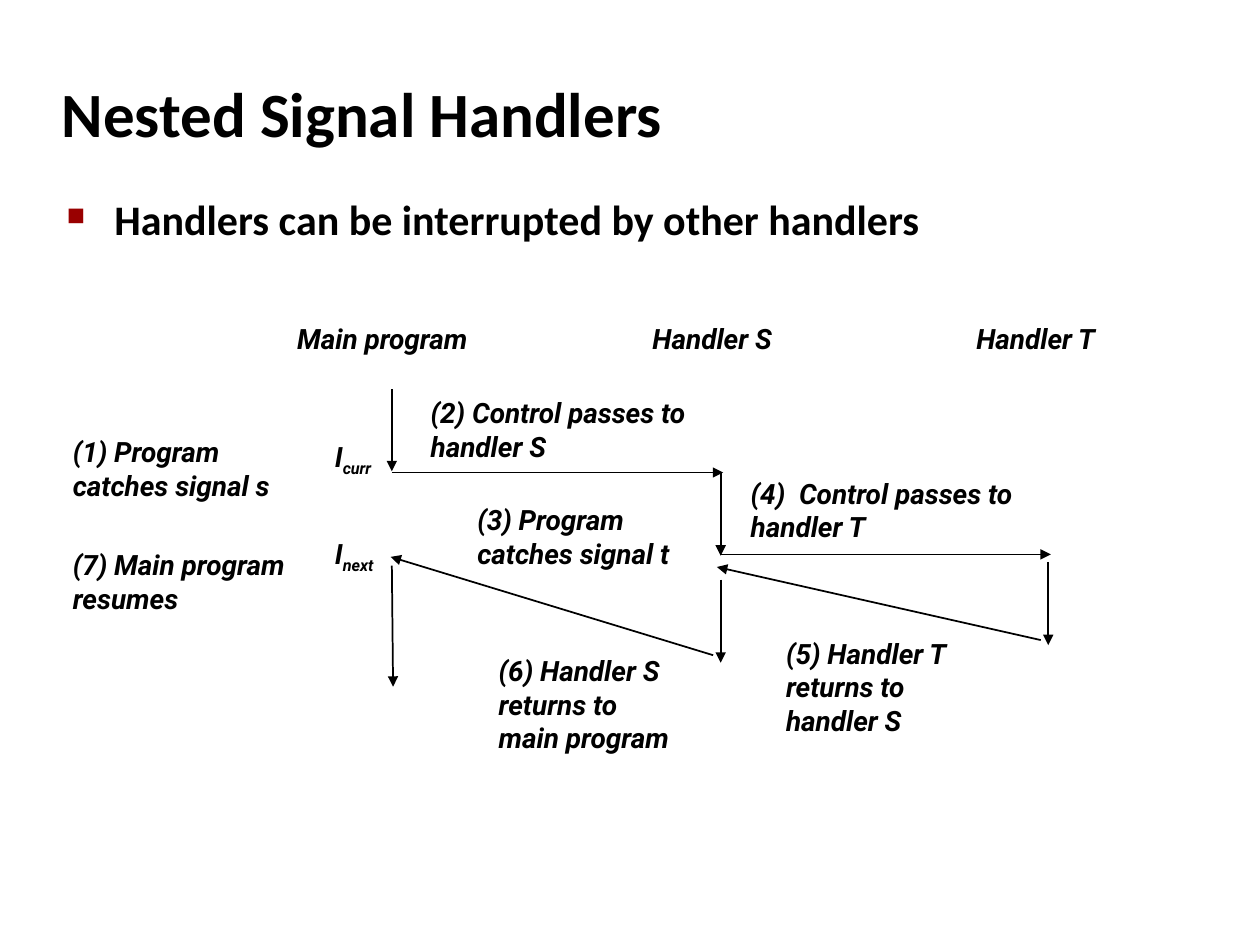
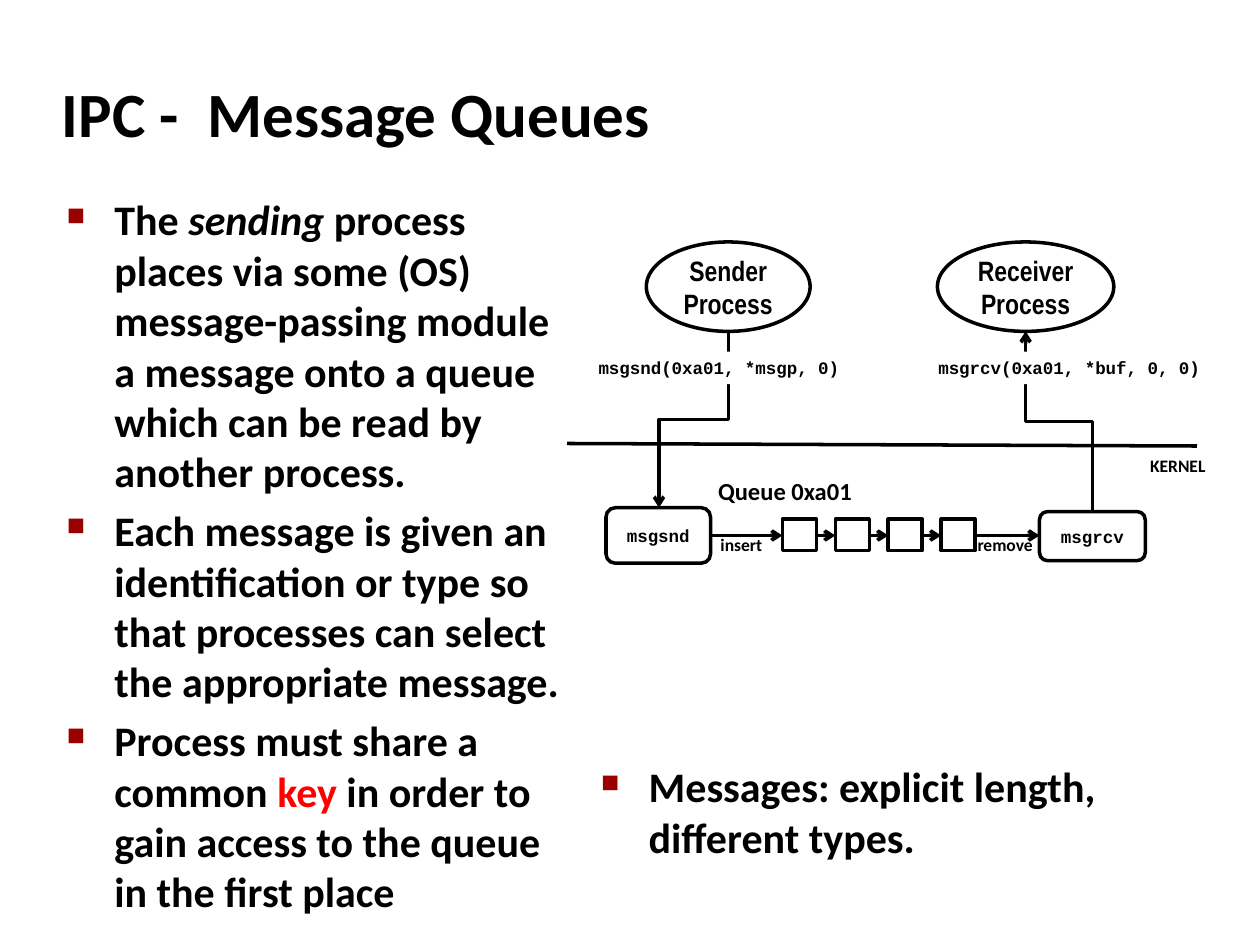
from dataclasses import dataclass

from lxml.etree import SubElement
from pptx import Presentation
from pptx.dml.color import RGBColor
from pptx.enum.shapes import MSO_CONNECTOR as Link, MSO_SHAPE as Shape
from pptx.enum.text import MSO_ANCHOR as Anchor, PP_ALIGN as Align
from pptx.oxml.ns import qn
from pptx.util import Inches, Pt


@dataclass(frozen=True)
class Style:
    """Font, size and slant of a kind of text."""
    font: str
    size: int
    italic: bool = False


@dataclass(frozen=True)
class Theme:
    """Colours and type of the deck."""
    ink: str = "000000"
    paper: str = "FFFFFF"
    bullet: str = "990000"
    key: str = "FF0000"
    title: Style = Style("Calibri", 36)
    body: Style = Style("Calibri", 24)
    step: Style = Style("Roboto", 16, True)
    process: Style = Style("Arial Narrow", 16)
    code: Style = Style("Courier New", 10)
    queue: Style = Style("Calibri", 14)
    note: Style = Style("Calibri", 10)


@dataclass(frozen=True)
class Box:
    """Region of a page in inches."""
    left: float
    top: float
    width: float
    height: float

    def inside(self, left, top, width, height):
        """Return a box placed relative to this one."""
        return Box(self.left + left, self.top + top, width, height)

    def point(self, x, y):
        """Return a point placed relative to this box."""
        return self.left + x, self.top + y

    def lengths(self):
        """Return the four sides as lengths."""
        return [Inches(v) for v in (self.left, self.top, self.width, self.height)]


THEME = Theme()


def format_runs(frame, style, color=THEME.ink):
    """Give every run of a frame one style."""
    for para in frame.paragraphs:
        for span in para.runs:
            font = span.font
            font.name, font.size = style.font, Pt(style.size)
            font.bold, font.italic = True, style.italic
            font.color.rgb = RGBColor.from_string(color)


def add_label(page, box, text, style, wrap=True):
    """Add a text box in one style."""
    frame = page.shapes.add_textbox(*box.lengths()).text_frame
    frame.word_wrap = wrap
    frame.text = text
    format_runs(frame, style)
    return frame


def set_bullet(para):
    """Give a paragraph the square bullet and hanging indent."""
    props = para._p.get_or_add_pPr()
    props.set("marL", str(Inches(0.38)))
    props.set("indent", str(Inches(-0.38)))
    color = SubElement(props, qn("a:buClr"))
    SubElement(color, qn("a:srgbClr"), val=THEME.bullet)
    SubElement(props, qn("a:buSzPct"), val="60000")
    SubElement(props, qn("a:buChar"), char="■")


def add_bullets(page, box, items):
    """Add a bulleted list, each item being a list of text pieces."""
    frame = page.shapes.add_textbox(*box.lengths()).text_frame
    frame.word_wrap = True
    for index, pieces in enumerate(items):
        para = frame.add_paragraph() if index else frame.paragraphs[0]
        if index:
            para.space_before = Pt(4.8)
        set_bullet(para)
        for piece in pieces:
            para.add_run().text = piece
    format_runs(frame, THEME.body)
    return frame


def add_line(page, start, end, width=1, head="triangle", kind=Link.STRAIGHT):
    """Add a line, with an arrowhead at its end unless head is None."""
    line = page.shapes.add_connector(kind, *[Inches(v) for v in (*start, *end)])
    line.line.color.rgb = RGBColor.from_string(THEME.ink)
    line.line.width = Pt(width)
    if head:
        SubElement(line.line._get_or_add_ln(), qn("a:tailEnd"), type=head)
    SubElement(line._element.spPr, qn("a:effectLst"))
    return line


def add_upright_elbow(page, start, end):
    """Add an elbow arrow that leaves and arrives vertically, going left."""
    (x1, y1), (x2, y2) = start, end
    middle_x, middle_y = (x1 + x2) / 2, (y1 + y2) / 2
    down = y2 > y1
    reach = abs(y2 - y1) / 2
    drop = (x1 - x2) / 2 if down else (x2 - x1) / 2
    line = add_line(page, (middle_x - reach, middle_y - drop),
                    (middle_x + reach, middle_y + drop), 2, "arrow", Link.ELBOW)
    turn = 90 if down else 270
    line._element.spPr.find(qn("a:xfrm")).set("rot", str(turn * 60000))


def add_node(page, kind, box, text="", style=THEME.code, masked=False):
    """Add an outlined shape, or a borderless white one that masks lines."""
    node = page.shapes.add_shape(kind, *box.lengths())
    node.shadow.inherit = False
    if masked:
        node.fill.solid()
        node.fill.fore_color.rgb = RGBColor.from_string(THEME.paper)
        node.line.fill.background()
    else:
        node.fill.background()
        node.line.color.rgb = RGBColor.from_string(THEME.ink)
        node.line.width = Pt(2)
    if text:
        frame = node.text_frame
        frame.margin_left = frame.margin_right = 0
        frame.margin_top = frame.margin_bottom = 0
        frame.vertical_anchor = Anchor.MIDDLE
        frame.text = text
        for para in frame.paragraphs:
            para.alignment = Align.CENTER
        format_runs(frame, style)


def add_page(deck, title):
    """Add a titled page."""
    page = deck.slides.add_slide(deck.slide_layouts[5])
    holder = page.shapes.title
    holder.left, holder.top, holder.width, holder.height = Box(0.39, 0.48, 8.3, 0.83).lengths()
    frame = holder.text_frame
    frame.vertical_anchor = Anchor.MIDDLE
    frame.text = title
    frame.paragraphs[0].alignment = Align.LEFT
    format_runs(frame, THEME.title)
    return page


def draw_control_flow(page, box):
    """Draw the main program and two handlers with their transfers."""
    main, handler_s, handler_t = 2.63, 5.24, 7.84
    for left, width, name in ((1.78, 1.75, "Main program"),
                              (4.6, 1.35, "Handler S"), (7.17, 1.35, "Handler T")):
        add_label(page, box.inside(left, 0, width, 0.37), name, THEME.step)

    steps = (
        (0, 0.9, 2.1, "(1) Program catches signal s"),
        (2.84, 0.59, 2.24, "(2) Control passes to handler S"),
        (3.21, 1.44, 2.03, "(3) Program catches signal t"),
        (5.38, 1.23, 2.31, "(4)  Control passes to handler T"),
        (5.66, 2.5, 1.62, "(5) Handler T\nreturns to handler S"),
        (3.38, 2.64, 1.62, "(6) Handler S\nreturns to main program"),
        (0, 1.8, 2.1, "(7) Main program resumes"),
    )
    for left, top, width, text in steps:
        add_label(page, box.inside(left, top, width, 0.64), text, THEME.step)

    for top, subscript in ((0.94, "curr"), (1.71, "next")):
        frame = add_label(page, box.inside(2.08, top, 0.6, 0.37), "I", THEME.step, False)
        span = frame.paragraphs[0].add_run()
        span.text = subscript
        format_runs(frame, THEME.step)
        span._r.get_or_add_rPr().set("baseline", "-25000")

    arrows = (
        (main, 0.59, main, 1.24),
        (main, 1.25, handler_s + 0.02, 1.25),
        (handler_s, 1.25, handler_s, 1.91),
        (handler_s, 1.9, handler_t + 0.02, 1.9),
        (handler_t, 1.96, handler_t, 2.62),
        (handler_t - 0.06, 2.58, handler_s - 0.03, 2),
        (handler_s, 2.1, handler_s, 2.76),
        (handler_s - 0.06, 2.7, main - 0.01, 1.92),
        (main, 1.99, main + 0.01, 2.95),
    )
    for x1, y1, x2, y2 in arrows:
        add_line(page, box.point(x1, y1), box.point(x2, y2))


def draw_message_queue(page, box):
    """Draw sender and receiver joined by a queue in the kernel."""
    add_node(page, Shape.OVAL, box.inside(0.63, 0, 1.3, 0.71), "Sender\nProcess", THEME.process)
    add_node(page, Shape.OVAL, box.inside(2.94, 0, 1.4, 0.71), "Receiver\nProcess", THEME.process)
    add_node(page, Shape.ROUNDED_RECTANGLE, box.inside(0.31, 2.11, 0.83, 0.44), "msgsnd")
    add_node(page, Shape.ROUNDED_RECTANGLE, box.inside(3.75, 2.14, 0.84, 0.39), "msgrcv")

    first, pitch, side, count, level = 1.71, 0.42, 0.27, 4, 2.33
    lefts = [first + pitch * index for index in range(count)]
    for left in lefts:
        add_node(page, Shape.RECTANGLE, box.inside(left, 2.2, side, 0.25))
    starts = [1.15] + [left + side for left in lefts]
    for start, end in zip(starts, lefts + [3.75]):
        add_line(page, box.point(start, level), box.point(end, level), 2, "arrow")

    add_upright_elbow(page, box.point(1.28, 0.71), box.point(0.73, 2.11))
    add_upright_elbow(page, box.point(4.17, 2.14), box.point(3.64, 0.71))
    add_line(page, box.point(0, 1.6), box.point(5, 1.62), 2, None)

    add_label(page, box.inside(1.1, 1.81, 1.28, 0.34), "Queue 0xa01", THEME.queue, False)
    for left, top, width, text in ((1.12, 2.27, 0.54, "insert"), (3.16, 2.27, 0.65, "remove"),
                                   (4.53, 1.64, 0.65, "KERNEL")):
        add_label(page, box.inside(left, top, width, 0.27), text, THEME.note, False)
    for left, call in ((0, "msgsnd(0xa01, *msgp, 0)"), (2.78, "msgrcv(0xa01, *buf, 0, 0)")):
        add_node(page, Shape.ROUNDED_RECTANGLE, box.inside(left, 0.87, 2.41, 0.26),
                 call, masked=True)


def build_handlers_page(deck):
    """Build the page on nested signal handlers."""
    page = add_page(deck, "Nested Signal Handlers")
    add_bullets(page, Box(0.43, 1.49, 8.64, 0.68),
                [["Handlers can be interrupted by other handlers"]])
    draw_control_flow(page, Box(0.48, 2.5, 8.52, 3.82))


def build_queues_page(deck):
    """Build the page on message queues."""
    page = add_page(deck, "IPC -  Message Queues")
    frame = add_bullets(page, Box(0.43, 1.49, 4.23, 5.44), [
        ["The ", "sending", " process places via some (OS) message-passing module "
         "a message onto a queue which can be read by another process."],
        ["Each message is given an identification or type so that processes "
         "can select the appropriate message."],
        ["Process must share a common ", "key",
         " in order to gain access to the queue in the first place"],
    ])
    frame.paragraphs[0].runs[1].font.italic = True
    frame.paragraphs[2].runs[1].font.color.rgb = RGBColor.from_string(THEME.key)
    add_bullets(page, Box(4.67, 5.99, 4.23, 1.02),
                [["Messages: explicit length, different types."]])
    draw_message_queue(page, Box(4.5, 1.92, 5.2, 2.55))


def main():
    """Build and save the deck."""
    deck = Presentation()
    deck.slide_width, deck.slide_height = Inches(10), Inches(7.5)
    build_handlers_page(deck)
    build_queues_page(deck)
    deck.save("out.pptx")


if __name__ == "__main__":
    main()
